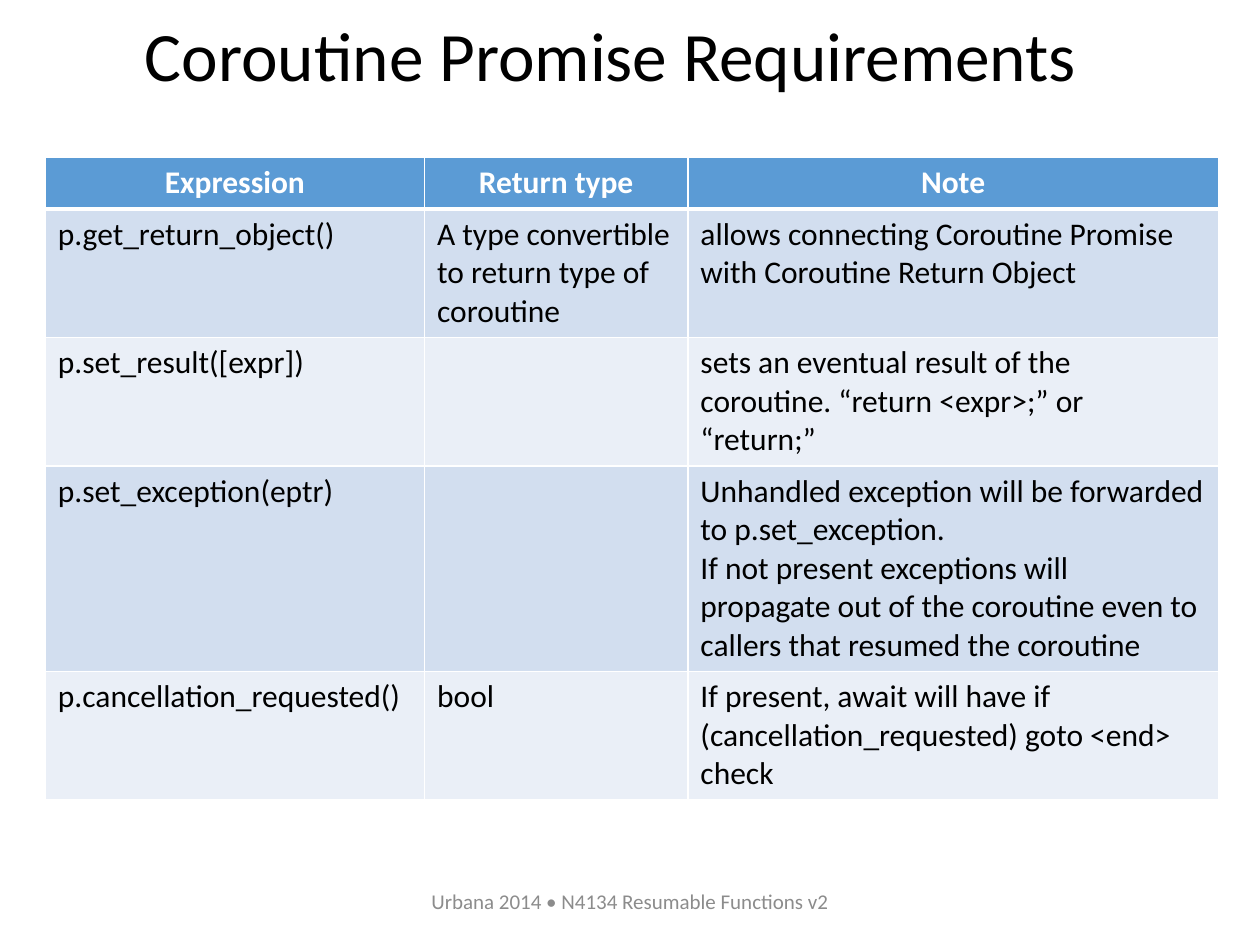
from dataclasses import dataclass

from lxml import etree
from pptx import Presentation
from pptx.dml.color import RGBColor
from pptx.enum.text import MSO_ANCHOR, MSO_AUTO_SIZE, PP_ALIGN
from pptx.oxml.ns import qn
from pptx.util import Inches, Pt

CENTER, LEFT = PP_ALIGN.CENTER, PP_ALIGN.LEFT
MIDDLE = MSO_ANCHOR.MIDDLE
NO_AUTOFIT = MSO_AUTO_SIZE.NONE
TITLE_ONLY = 5


@dataclass(frozen=True)
class Theme:
    font: str = "Calibri"
    text: str = "000000"
    header_text: str = "FFFFFF"
    footer_text: str = "8C8C8C"
    header_fill: str = "5B9BD5"
    bands: tuple = ("D2DEEF", "EAEFF7")
    border: str = "FFFFFF"
    title_size: float = 39.6
    table_size: float = 18
    footer_size: float = 12
    border_width: float = 1
    header_rule: float = 3


THEME = Theme()

HEADERS = ("Expression", "Return type", "Note")
REQUIREMENTS = (
    ("p.get_return_object()", "A type convertible to return type of coroutine",
     "allows connecting Coroutine Promise with Coroutine Return Object"),
    ("p.set_result([expr])", "",
     "sets an eventual result of the coroutine. “return <expr>;” or “return;”"),
    ("p.set_exception(eptr)", "",
     "Unhandled exception will be forwarded to p.set_exception.\n"
     "If not present exceptions will propagate out of the coroutine "
     "even to callers that resumed the coroutine"),
    ("p.cancellation_requested()", "bool",
     "If present, await will have if (cancellation_requested) goto <end> check"),
)
COLUMN_WIDTHS = (3.01, 2.09, 4.21)
ROW_HEIGHTS = (0.41, 1.02, 1.02, 1.63, 1.02)


def write(frame, text, size, color, align=LEFT, bold=False):
    frame.text = text
    for paragraph in frame.paragraphs:
        paragraph.alignment = align
        font = paragraph.font
        font.name, font.size, font.bold = THEME.font, Pt(size), bold
        font.color.rgb = RGBColor.from_string(color)


def set_borders(cell, bottom_width):
    """Draw all four edges; must run before the cell's fill is set."""
    properties = cell._tc.get_or_add_tcPr()
    for edge in ("lnL", "lnR", "lnT", "lnB"):
        width = bottom_width if edge == "lnB" else THEME.border_width
        line = etree.SubElement(properties, qn(f"a:{edge}"), w=str(Pt(width)))
        fill = etree.SubElement(line, qn("a:solidFill"))
        etree.SubElement(fill, qn("a:srgbClr"), val=THEME.border)


def add_title(slide, left, top, width, height):
    title = slide.shapes.title
    title.left, title.top, title.width, title.height = left, top, width, height
    frame = title.text_frame
    write(frame, "Coroutine Promise Requirements", THEME.title_size, THEME.text)
    frame.auto_size = NO_AUTOFIT
    frame.vertical_anchor = MIDDLE
    frame.paragraphs[0].line_spacing = 0.9


def add_requirements(slide, left, top, width, height):
    rows = (HEADERS, *REQUIREMENTS)
    table = slide.shapes.add_table(
        len(rows), len(HEADERS), left, top, width, height).table
    for column, column_width in zip(table.columns, COLUMN_WIDTHS):
        column.width = Inches(column_width)
    for row, row_height in zip(table.rows, ROW_HEIGHTS):
        row.height = Inches(row_height)
    for r, texts in enumerate(rows):
        is_header = r == 0
        fill = THEME.header_fill if is_header else THEME.bands[(r - 1) % 2]
        for c, text in enumerate(texts):
            cell = table.cell(r, c)
            set_borders(cell, THEME.header_rule if is_header else THEME.border_width)
            cell.fill.solid()
            cell.fill.fore_color.rgb = RGBColor.from_string(fill)
            write(cell.text_frame, text, THEME.table_size,
                  THEME.header_text if is_header else THEME.text,
                  CENTER if is_header else LEFT, is_header)


def add_footer(slide, left, top, width, height):
    frame = slide.shapes.add_textbox(left, top, width, height).text_frame
    frame.word_wrap = True
    frame.vertical_anchor = MIDDLE
    write(frame, "Urbana 2014 • N4134 Resumable Functions v2",
          THEME.footer_size, THEME.footer_text, CENTER)


def main():
    deck = Presentation()
    deck.slide_width, deck.slide_height = Inches(10), Inches(7.5)
    slide = deck.slides.add_slide(deck.slide_layouts[TITLE_ONLY])
    add_title(slide, Inches(1.05), Inches(0.12), Inches(8.89), Inches(0.7))
    add_footer(slide, Inches(3.31), Inches(6.95), Inches(3.38), Inches(0.4))
    add_requirements(slide, Inches(0.36), Inches(1.25),
                     Inches(sum(COLUMN_WIDTHS)), Inches(sum(ROW_HEIGHTS)))
    deck.save("out.pptx")


if __name__ == "__main__":
    main()
